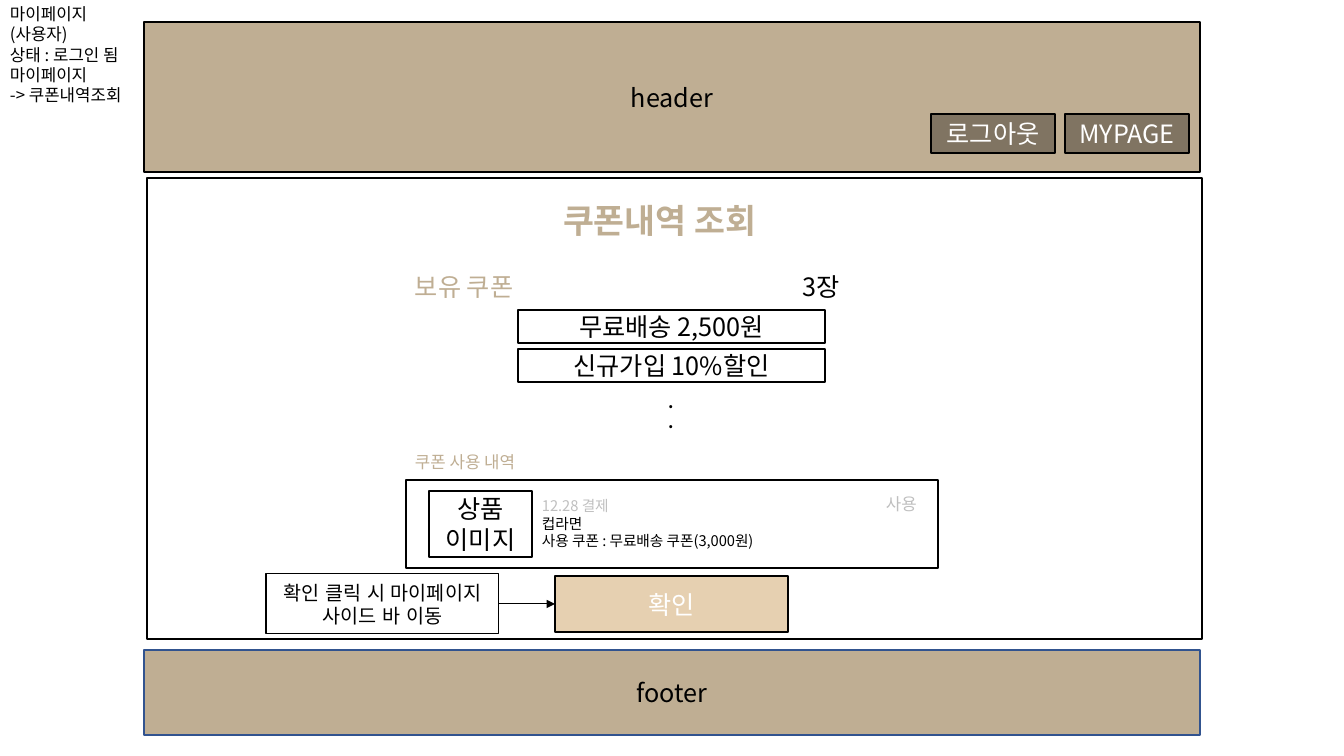
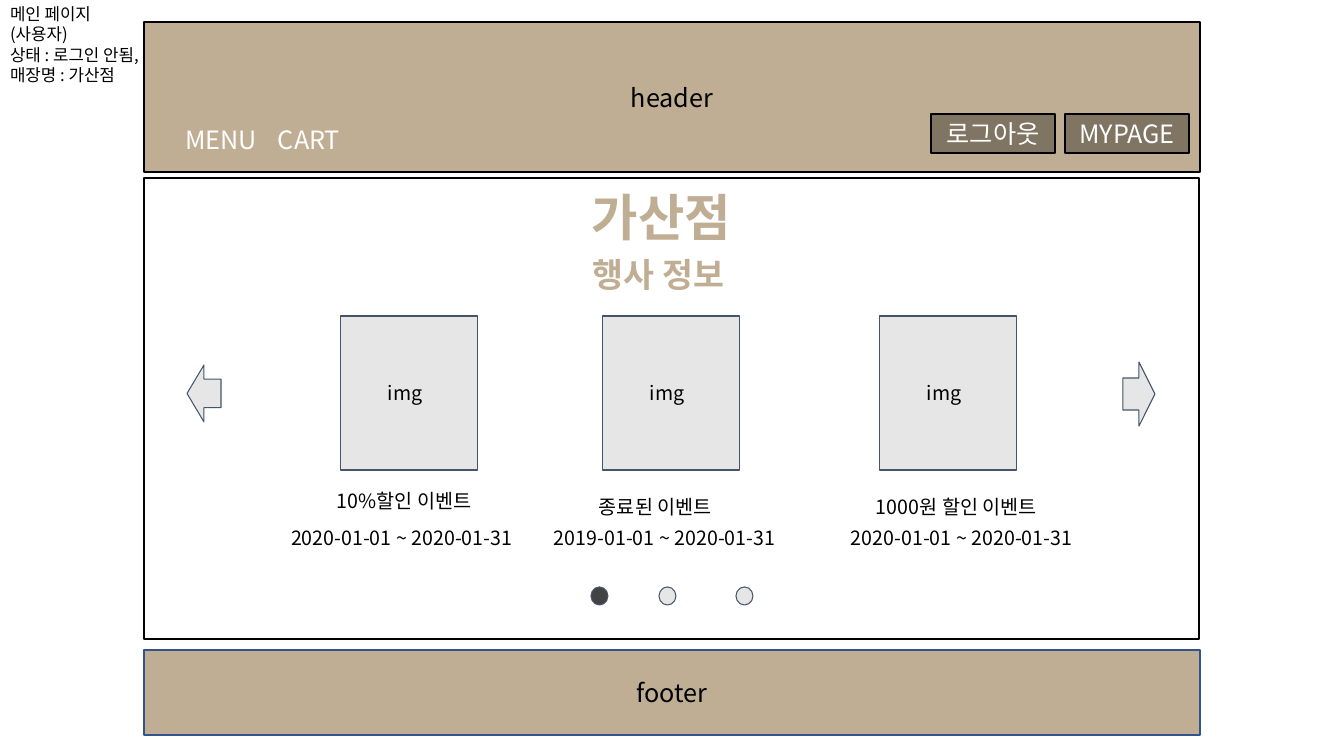
from lxml import etree
from pptx import Presentation
from pptx.dml.color import RGBColor
from pptx.enum.shapes import MSO_CONNECTOR, MSO_SHAPE
from pptx.enum.text import MSO_ANCHOR, MSO_AUTO_SIZE, PP_ALIGN
from pptx.oxml.ns import qn
from pptx.util import Emu, Pt

PX = 12192000 / 1344
RECT, OVAL = MSO_SHAPE.RECTANGLE, MSO_SHAPE.OVAL
LEFT_ARROW, RIGHT_ARROW = MSO_SHAPE.LEFT_ARROW, MSO_SHAPE.RIGHT_ARROW
STRAIGHT = MSO_CONNECTOR.STRAIGHT
LEFT, CENTER = PP_ALIGN.LEFT, PP_ALIGN.CENTER
TOP, MIDDLE = MSO_ANCHOR.TOP, MSO_ANCHOR.MIDDLE
NO_FIT = MSO_AUTO_SIZE.NONE

FONT = "Noto Sans CJK KR"
BLACK, WHITE = "000000", "FFFFFF"
TAN, BROWN, SAND = "BFAE93", "807462", "E6D0B1"
GREY, PALE, DARK = "BFBFBF", "E7E6E6", "434343"
SLATE, BLUE = "44546A", "31538F"


def write(shape, text, size, color=BLACK, bold=False, align=LEFT, anchor=TOP,
          font=FONT, inset=5):
    """Fill a shape with text, one paragraph for each line."""
    frame = shape.text_frame
    frame.text = text
    frame.word_wrap = True
    frame.auto_size = NO_FIT
    frame.vertical_anchor = anchor
    frame.margin_left = frame.margin_right = Emu(round(10 * PX))
    frame.margin_top = frame.margin_bottom = Emu(round(inset * PX))
    for paragraph in frame.paragraphs:
        paragraph.alignment = align
        for run in paragraph.runs:
            run.font.size = Pt(size)
            run.font.bold = bold
            run.font.color.rgb = RGBColor.from_string(color)
            run.font.name = font
            east_asian = etree.SubElement(run.font._element, qn("a:ea"))
            east_asian.set("typeface", font)
    return shape


def draw(slide, box, kind=None, fill=None, line=BLACK, weight=1):
    """Add a preset shape, or a text box when no kind is given."""
    place = [Emu(round(v * PX)) for v in box]
    if kind is None:
        return slide.shapes.add_textbox(*place)
    shape = slide.shapes.add_shape(kind, *place)
    shape.shadow.inherit = False
    if fill:
        shape.fill.solid()
        shape.fill.fore_color.rgb = RGBColor.from_string(fill)
    else:
        shape.fill.background()
    shape.line.color.rgb = RGBColor.from_string(line)
    shape.line.width = Pt(weight)
    return shape


prs = Presentation()
prs.slide_width, prs.slide_height = Emu(12192000), Emu(6858000)
title_only = prs.slide_layouts[5]
centred = {"align": CENTER, "anchor": MIDDLE}

# Shared page: state note, header, buttons, footer, body frame, title
pages = [
    ("마이페이지\n(사용자)\n상태 : 로그인 됨\n마이페이지\n-> 쿠폰내역조회",
     (0, -1, 147, 112), 147, "쿠폰내역 조회", 24, (553, 195, 238, 50)),
    ("메인 페이지\n(사용자)\n상태 : 로그인 안됨,\n매장명 : 가산점",
     (0, -1, 164, 92), 144, "가산점", 36, (582, 181, 178, 72)),
]
slides = []
for note, note_box, body_x, title_text, title_size, title_box in pages:
    slide = prs.slides.add_slide(title_only)
    slides.append(slide)
    write(draw(slide, note_box), note, 12)
    header = draw(slide, (144, 22, 1056, 150), RECT, TAN)
    write(header, "header", 18, **centred)
    for x, label in ((931, "로그아웃"), (1065, "MYPAGE")):
        button = draw(slide, (x, 114, 124, 39), RECT, BROWN)
        write(button, label, 18, WHITE, **centred)
    footer = draw(slide, (144, 650, 1056, 85), RECT, TAN, BLUE)
    write(footer, "footer", 18, **centred)
    body = draw(slide, (body_x, 178, 1055, 461), RECT, WHITE)
    title = slide.shapes.title
    title.left, title.top, title.width, title.height = [
        Emu(round(v * PX)) for v in title_box]
    write(title, title_text, title_size, TAN, bold=True)
    body.element.addnext(title.element)  # title in front of the body frame

coupon_page, main_page = slides

# Coupons held
write(draw(coupon_page, (405, 266, 160, 40)), "보유 쿠폰", 18, TAN)
write(draw(coupon_page, (793, 266, 100, 40)), "3장", 18)
for row, coupon in enumerate(("무료배송 2,500원", "신규가입 10%할인")):
    coupon_row = draw(coupon_page, (518, 310 + 39 * row, 307, 33), RECT, WHITE)
    write(coupon_row, coupon, 18, **centred)
write(draw(coupon_page, (641, 387, 60, 50)), ".\n.", 12, bold=True, align=CENTER)

# Coupon usage history
write(draw(coupon_page, (405, 447, 160, 30)), "쿠폰 사용 내역", 12, TAN)
product = draw(coupon_page, (429, 491, 103, 66), RECT, WHITE)
write(product, "상품 이미지", 18, **centred)
usage = write(draw(coupon_page, (532, 492, 279, 64)),
              "12.28 결제\n컵라면\n사용 쿠폰 : 무료배송 쿠폰(3,000원)", 10.5)
payment_date = usage.text_frame.paragraphs[0].runs[0]
payment_date.font.color.rgb = RGBColor.from_string(GREY)
draw(coupon_page, (406, 480, 532, 88), RECT)
write(draw(coupon_page, (876, 489, 55, 30)), "사용", 12, GREY)

# Confirm button and its explanation
confirm = draw(coupon_page, (555, 576, 233, 56), RECT, SAND)
write(confirm, "확인", 18, WHITE, **centred)
hint = draw(coupon_page, (266, 574, 233, 60), RECT, WHITE, weight=0.75)
write(hint, "확인 클릭 시 마이페이지 사이드 바 이동", 14, font="Arial", **centred)
arrow = coupon_page.shapes.add_connector(STRAIGHT, 0, 0, 0, 0)
arrow.begin_connect(hint, 3)
arrow.end_connect(confirm, 1)
arrow.line.color.rgb = RGBColor.from_string(BLACK)
arrow.line.width = Pt(0.75)
arrow_line = arrow.element.spPr.find(qn("a:ln"))
etree.SubElement(arrow_line, qn("a:tailEnd")).set("type", "triangle")
etree.SubElement(arrow.element.spPr, qn("a:effectLst"))

# Main page menu and subtitle
for x, width, label in ((175, 93, "MENU"), (268, 103, "CART")):
    write(draw(main_page, (x, 119, width, 40)), label, 18, WHITE)
write(draw(main_page, (583, 249, 177, 50)), "행사 정보", 24, TAN, bold=True)

# Event cards: image x, caption y, date x, caption, dates
events = [
    (341, 479, 281, "10%할인 이벤트", "2020-01-01 ~ 2020-01-31"),
    (603, 485, 544, "종료된 이벤트", "2019-01-01 ~ 2020-01-31"),
    (880, 485, 841, "1000원 할인 이벤트", "2020-01-01 ~ 2020-01-31"),
]
for image_x, caption_y, date_x, caption, dates in events:
    draw(main_page, (image_x, 316, 137, 154), RECT, PALE, SLATE, 0.75)
    for x, y, width, text in ((image_x + 37, 371, 64, "img"),
                              (image_x - 14, caption_y, 204, caption),
                              (date_x, 516, 256, dates)):
        write(draw(main_page, (x, y, width, 45)), text, 14, inset=10)

# Carousel arrows and page dots
carousel = [
    (LEFT_ARROW, (187, 365, 34, 57), PALE),
    (RIGHT_ARROW, (1123, 362, 32, 64), PALE),
    (OVAL, (591, 587, 17, 18), DARK),
    (OVAL, (659, 587, 17, 18), PALE),
    (OVAL, (736, 587, 17, 18), PALE),
]
for kind, box, fill in carousel:
    draw(main_page, box, kind, fill, SLATE, 0.75)

prs.save("out.pptx")
